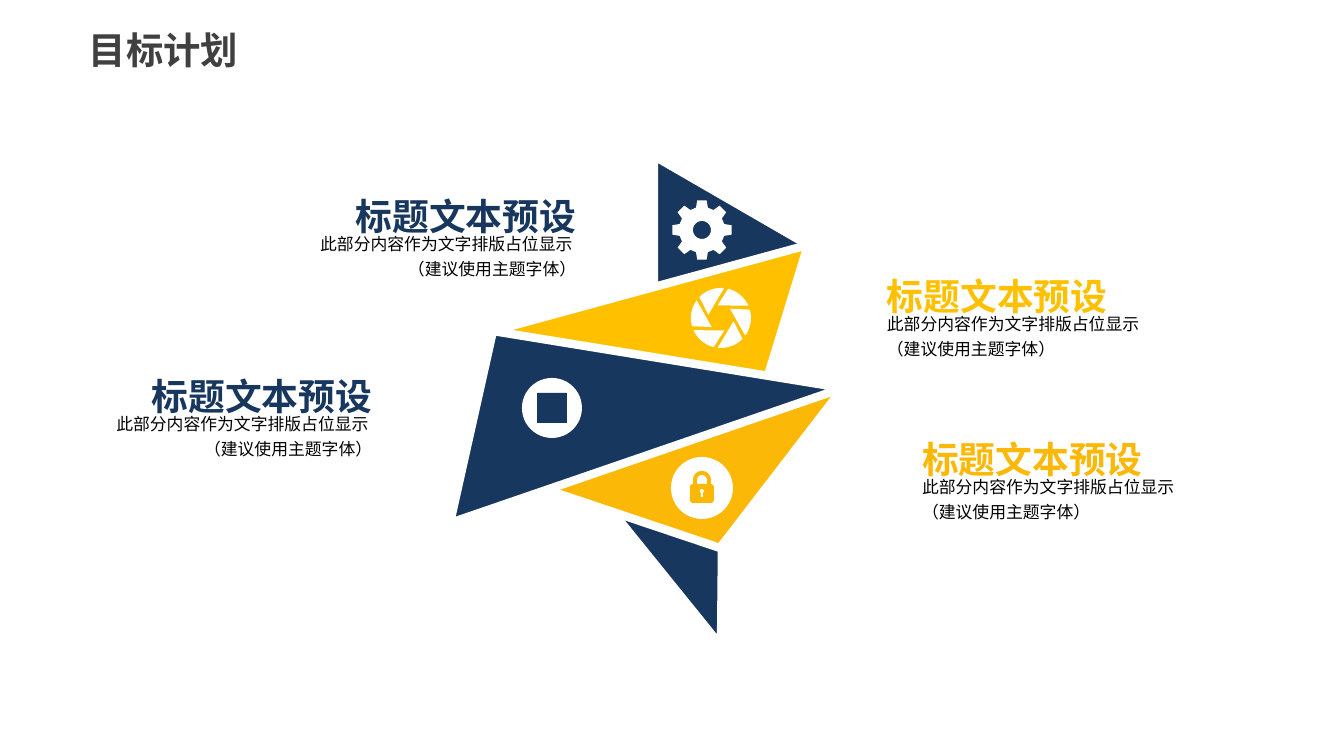
from math import cos, radians, sin

from lxml import etree
from pptx import Presentation
from pptx.dml.color import RGBColor
from pptx.enum.shapes import MSO_SHAPE
from pptx.enum.text import MSO_ANCHOR, PP_ALIGN
from pptx.oxml.ns import qn
from pptx.util import Emu, Pt

OVAL = MSO_SHAPE.OVAL
RECTANGLE = MSO_SHAPE.RECTANGLE
ROUNDED_RECTANGLE = MSO_SHAPE.ROUNDED_RECTANGLE
LEFT, CENTER, RIGHT = PP_ALIGN.LEFT, PP_ALIGN.CENTER, PP_ALIGN.RIGHT
TOP, MIDDLE = MSO_ANCHOR.TOP, MSO_ANCHOR.MIDDLE

NAVY = RGBColor(0x17, 0x37, 0x5E)
YELLOW = RGBColor(0xFF, 0xC0, 0x00)
AMBER = RGBColor(0xFC, 0xB8, 0x06)
WHITE = RGBColor(0xFF, 0xFF, 0xFF)
BLACK = RGBColor(0x00, 0x00, 0x00)
GRAY = RGBColor(0x40, 0x40, 0x40)

FONT = "Noto Sans CJK SC"
EMU_PER_PX = 914400 / 134.4
INSET = 79

HEADING = "标题文本预设"
DETAIL = "此部分内容作为文字排版占位显示 \n（建议使用主题字体）"

TRIANGLES = [
    ([(722, 547), (607, 505), (721, 646)], NAVY),
    ([(654, 156), (808, 245), (654, 358)], NAVY),
    ([(755, 418), (808, 245), (493, 331)], YELLOW),
    ([(720, 548), (843, 388), (464, 462)], AMBER),
    ([(843, 388), (450, 523), (493, 331)], NAVY),
]

CAPTIONS = [
    (655, 194, 372, RIGHT, NAVY),
    (808, 274, 396, LEFT, YELLOW),
    (451, 374, 355, RIGHT, NAVY),
    (843, 437, 402, LEFT, AMBER),
]


def px(value):
    return Emu(round(value * EMU_PER_PX))


def polar(center, radius, degrees):
    angle = radians(degrees)
    return center[0] + radius * cos(angle), center[1] + radius * sin(angle)


def arc(center, radius, start, end, steps=16):
    return [
        polar(center, radius, start + (end - start) * step / steps)
        for step in range(steps + 1)
    ]


def paint(shape, color, outline=None):
    shape.shadow.inherit = False
    shape.fill.solid()
    shape.fill.fore_color.rgb = color
    if outline is None:
        shape.line.fill.background()
    else:
        shape.line.color.rgb = outline
        shape.line.width = Pt(4.5)


def add_outline(slide, contours, color, outline=None):
    builder = None
    for contour in contours:
        corners = [(px(x), px(y)) for x, y in contour]
        if builder is None:
            builder = slide.shapes.build_freeform(*corners[0], scale=1.0)
        else:
            builder.move_to(*corners[0])
        builder.add_line_segments(corners[1:], close=True)
    paint(builder.convert_to_shape(), color, outline)


def add_preset(slide, kind, left, top, width, height, color):
    shape = slide.shapes.add_shape(kind, px(left), px(top), px(width), px(height))
    paint(shape, color)


def add_disc(slide, center, radius, color):
    x, y = center
    add_preset(slide, OVAL, x - radius, y - radius, 2 * radius, 2 * radius, color)


def add_gear(slide, center):
    rim = [
        polar(center, radius, tooth + offset)
        for tooth in range(0, 360, 45)
        for radius, offset in ((23, -15), (30, -9), (30, 9), (23, 15))
    ]
    hole = arc(center, 9, 360, 0, steps=36)
    add_outline(slide, [rim, hole], WHITE)


def add_aperture(slide, center):
    blades = [
        arc(center, 30, turn - 136, turn - 84) + [polar(center, 13, turn - 165)]
        for turn in range(0, 360, 60)
    ]
    add_outline(slide, blades, WHITE)


def add_window(slide, center):
    x, y = center
    add_disc(slide, center, 30, WHITE)
    add_preset(slide, RECTANGLE, x - 15, y - 15, 30, 30, NAVY)


def add_lock(slide, center):
    x, y = center
    add_disc(slide, center, 31, WHITE)
    shackle = (x, y - 8)
    outer = arc(shackle, 9, 180, 360)
    inner = arc(shackle, 5, 360, 180)
    legs = [(x + 9, y - 3), (x + 5, y - 3)]
    bow = [(x - 9, y - 3)] + outer + legs + inner + [(x - 5, y - 3)]
    add_outline(slide, [bow], AMBER)
    add_preset(slide, ROUNDED_RECTANGLE, x - 12, y - 4, 24, 19, AMBER)
    add_disc(slide, (x, y + 3), 2, WHITE)
    add_preset(slide, RECTANGLE, x - 1, y + 3, 2, 6, WHITE)


def add_text(slide, text, box, size, color, align, bold=False, wrap=False,
             anchor=TOP, inset=0, spacing=1.0):
    frame = slide.shapes.add_textbox(*(px(value) for value in box)).text_frame
    frame.word_wrap = wrap
    frame.vertical_anchor = anchor
    frame.margin_top = frame.margin_bottom = 0
    frame.margin_left = px(inset if align == LEFT else 0)
    frame.margin_right = px(inset if align == RIGHT else 0)
    paragraph = frame.paragraphs[0]
    paragraph.text = text
    paragraph.alignment = align
    paragraph.line_spacing = spacing
    font = paragraph.font
    font.name = FONT
    font.size = Pt(size)
    font.bold = bold
    font.color.rgb = color
    properties = paragraph._p.pPr.find(qn("a:defRPr"))
    etree.SubElement(properties, qn("a:ea")).set("typeface", FONT)


def add_caption(slide, edge, top, detail_width, align, color):
    def box(y, width, height):
        return (edge - width if align == RIGHT else edge, y, width, height)

    add_text(slide, HEADING, box(top, 310, 36), 19.7, color, align,
             bold=True, inset=INSET)
    add_text(slide, DETAIL, box(top + 36, detail_width, 51), 9, BLACK, align,
             wrap=True, inset=INSET, spacing=1.2)


def main():
    presentation = Presentation()
    presentation.slide_width = px(1344)
    presentation.slide_height = px(756)
    slide = presentation.slides.add_slide(presentation.slide_layouts[6])

    for points, color in TRIANGLES:
        add_outline(slide, [points], color, WHITE)
    add_window(slide, (552, 408))
    add_gear(slide, (702, 230))
    add_aperture(slide, (721, 318))
    add_lock(slide, (702, 488))
    for caption in CAPTIONS:
        add_caption(slide, *caption)
    add_text(slide, "目标计划", (-26, 18, 379, 63), 20, GRAY, CENTER,
             bold=True, anchor=MIDDLE)

    presentation.save("out.pptx")


if __name__ == "__main__":
    main()
